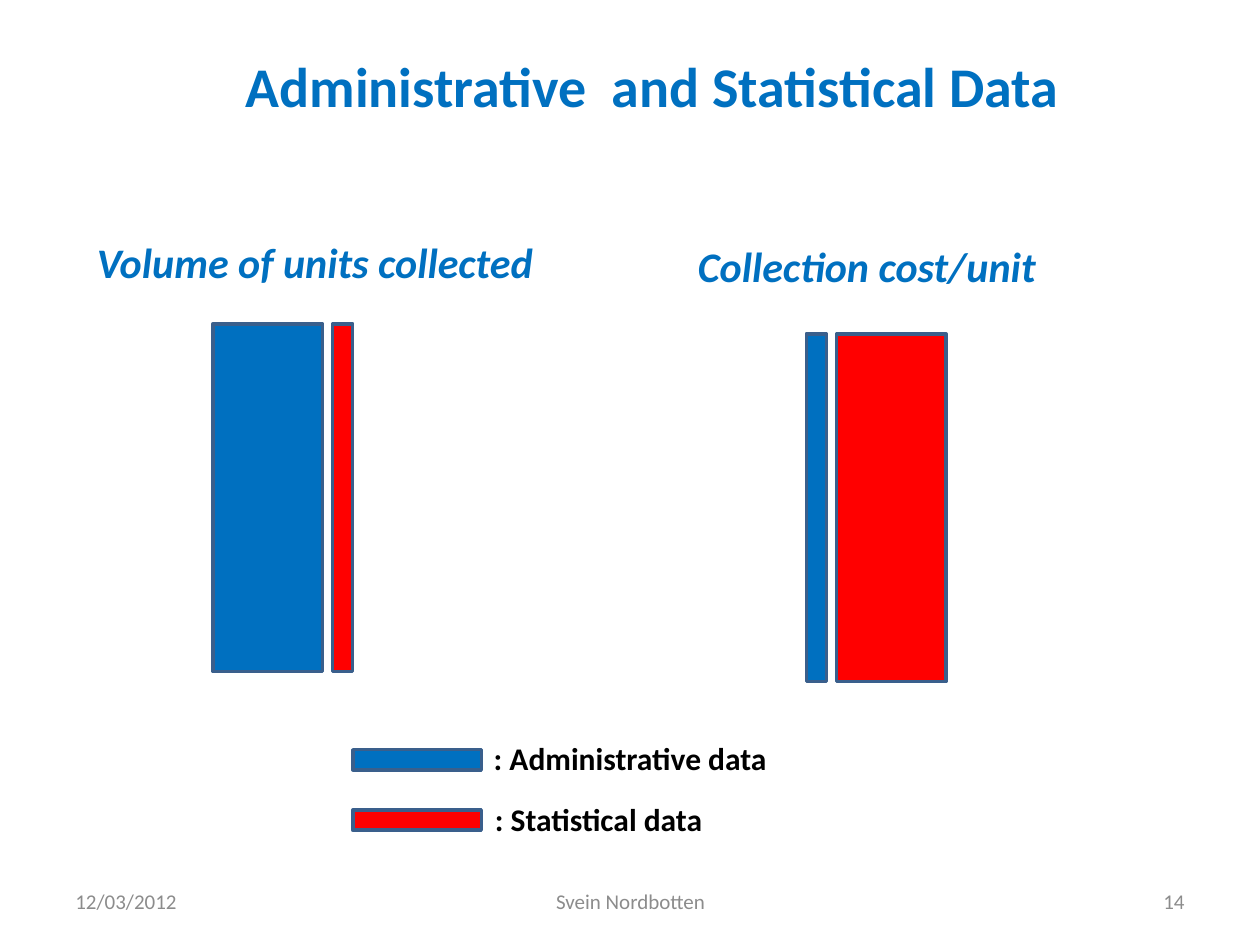
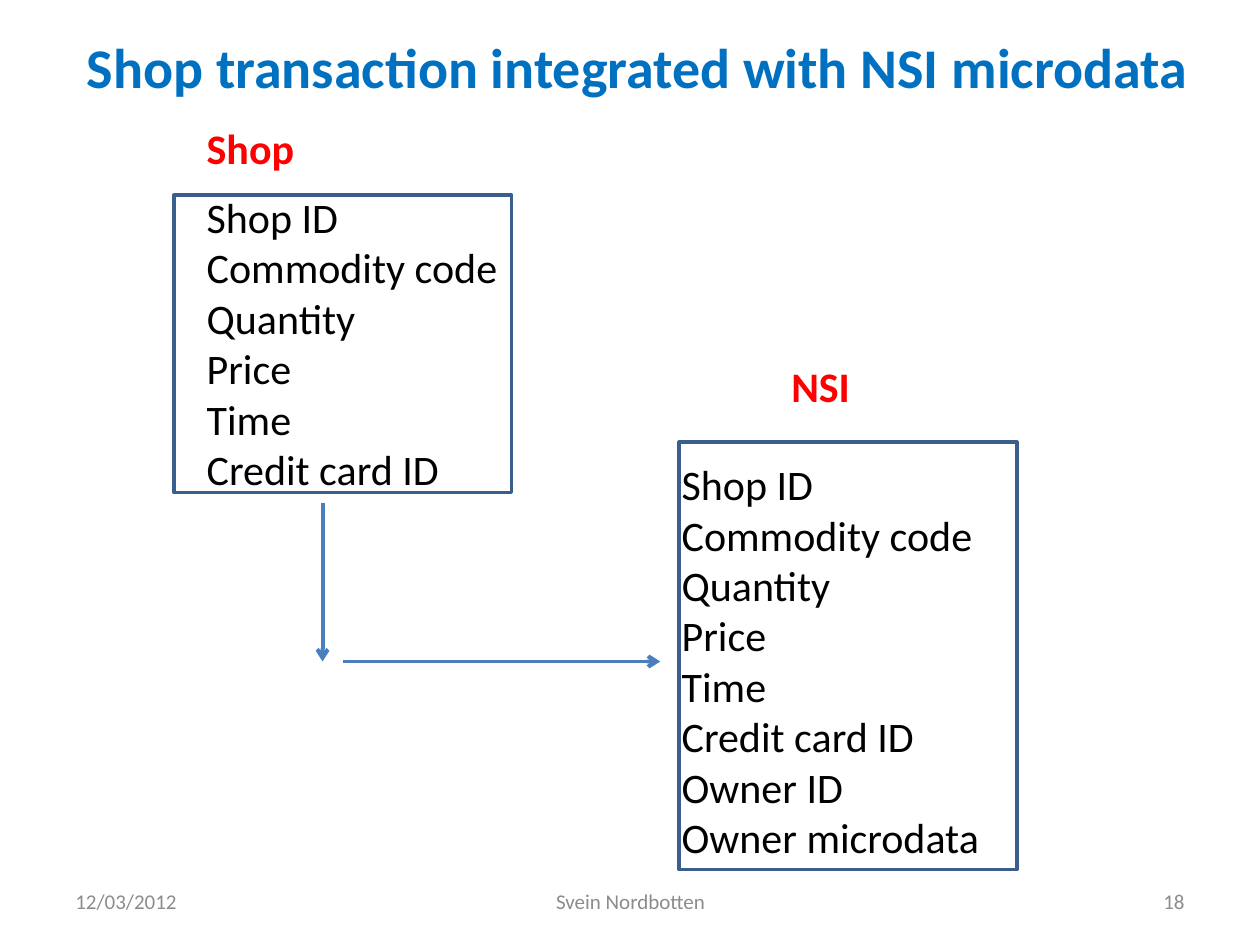
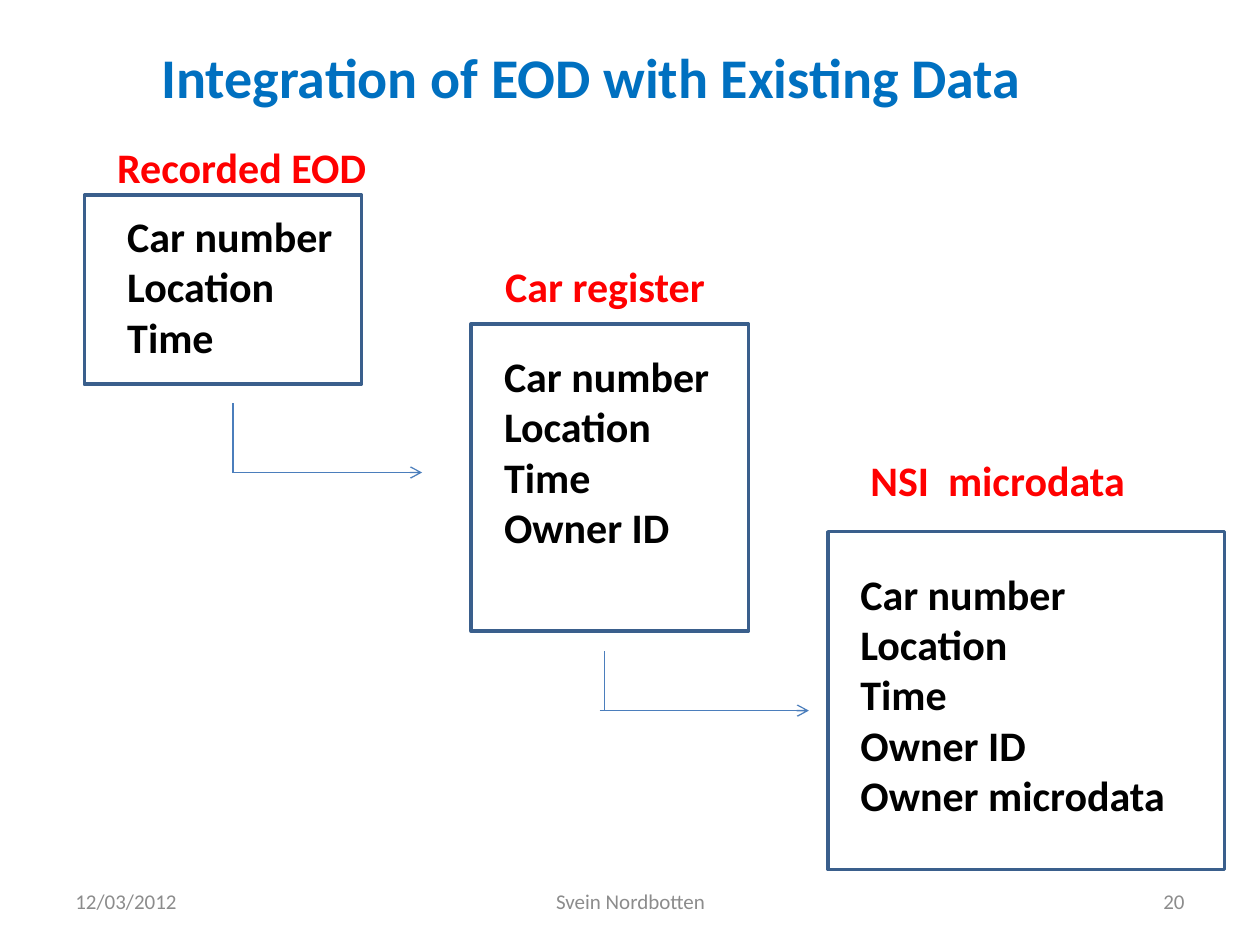
from lxml.etree import SubElement
from pptx import Presentation
from pptx.dml.color import RGBColor
from pptx.enum.shapes import MSO_CONNECTOR as Connector, MSO_SHAPE as Shape
from pptx.enum.text import MSO_ANCHOR as Anchor, MSO_AUTO_SIZE as AutoSize, PP_ALIGN as Align
from pptx.oxml.ns import qn
from pptx.util import Inches, Pt

COLORS = {
    "blue": "0070C0",
    "red": "FF0000",
    "black": "000000",
    "white": "FFFFFF",
    "grey": "8C8C8C",
    "border": "3A5F8C",
    "arrow": "4B7EBC",
}
FONT = "Calibri"
TITLE_ONLY, COMPARISON = 5, 4
BAR_WIDE, BAR_NARROW, BAR_HEIGHT, BAR_GAP = 0.87, 0.16, 2.76, 0.08
TRANSACTION = ["Shop ID", "Commodity code", "Quantity", "Price", "Time", "Credit card ID"]
SIGHTING = ["Car number", "Location", "Time"]


def color(name):
    return RGBColor.from_string(COLORS[name])


def write(page, area, lines, size, tint, bold=False, italic=False,
          align=Align.LEFT, anchor=Anchor.TOP, holder=None):
    left, top, width, height = (Inches(value) for value in area)
    box = holder or page.shapes.add_textbox(left, top, width, height)
    box.left, box.top, box.width, box.height = left, top, width, height
    page.shapes.element.append(box.element)
    frame = box.text_frame
    frame.word_wrap = True
    frame.auto_size = AutoSize.NONE
    frame.vertical_anchor = anchor
    if align == Align.LEFT:
        frame.margin_right = 0
    for index, line in enumerate(lines):
        para = frame.add_paragraph() if index else frame.paragraphs[0]
        props = para._p.get_or_add_pPr()
        props.set("marL", "0")
        props.set("indent", "0")
        SubElement(props, qn("a:buNone"))
        para.alignment = align
        para.space_before = Pt(0)
        span = para.add_run()
        span.text = line
        span.font.name = FONT
        span.font.size = Pt(size)
        span.font.bold = bold
        span.font.italic = italic
        span.font.color.rgb = color(tint)


def add_block(page, area, fill):
    block = page.shapes.add_shape(Shape.RECTANGLE, *(Inches(value) for value in area))
    block.shadow.inherit = False
    block.fill.solid()
    block.fill.fore_color.rgb = color(fill)
    block.line.color.rgb = color("border")
    block.line.width = Pt(2)


def add_line(page, start, end, width, arrow=True):
    line = page.shapes.add_connector(
        Connector.STRAIGHT, *(Inches(value) for value in (*start, *end)))
    line.line.color.rgb = color("arrow")
    line.line.width = Pt(width)
    props = line.element.spPr
    if arrow:
        SubElement(props.find(qn("a:ln")), qn("a:tailEnd"), type="arrow")
    SubElement(props, qn("a:effectLst"))


def add_page(deck, layout, title, title_area, number):
    page = deck.slides.add_slide(deck.slide_layouts[layout])
    footers = [
        (0.5, 2.33, "12/03/2012", Align.LEFT),
        (3.42, 3.17, "Svein Nordbotten", Align.CENTER),
        (7.17, 2.33, number, Align.RIGHT),
    ]
    for left, width, text, align in footers:
        write(page, (left, 6.95, width, 0.4), [text], 12, "grey",
              align=align, anchor=Anchor.MIDDLE)
    write(page, title_area, [title], 32, "blue", bold=True, holder=page.shapes.title)
    return page


def add_bar_pair(page, left, top, widths):
    for width, fill in zip(widths, ("blue", "red")):
        add_block(page, (left, top, width, BAR_HEIGHT), fill)
        left += width + BAR_GAP


def add_legend(page, left, top):
    entries = [("blue", ": Administrative data", 2.39), ("red", ": Statistical data", 1.87)]
    for row, (fill, label, width) in enumerate(entries):
        row_top = top + 0.48 * row
        add_block(page, (left, row_top, 1.02, 0.16), fill)
        write(page, (left + 1.02 + 0.01 * row, row_top - 0.13, width, 0.4),
              [label], 18, "black", bold=True)


def add_records(page, records, bold):
    slots = iter([holder for holder in page.placeholders
                  if holder.placeholder_format.idx > 0])
    for frame, heading, heading_offset, fields, list_offset in records:
        left, top, width, height = frame
        add_block(page, frame, "white")
        for lines, (dx, dy, w, h), tint, strong in (
                ([heading], heading_offset, "red", True),
                (fields, list_offset, "black", bold)):
            write(page, (left + dx, top + dy, w, h), lines, 24, tint,
                  bold=strong, holder=next(slots, None))


def build_volume_and_cost(deck):
    page = add_page(deck, TITLE_ONLY, "Administrative  and Statistical Data",
                    (1.85, 0.36, 6.72, 0.64), "14")
    add_bar_pair(page, 1.69, 2.57, (BAR_WIDE, BAR_NARROW))
    add_bar_pair(page, 6.4, 2.65, (BAR_NARROW, BAR_WIDE))
    for area, text in (((0.67, 1.83, 3.74, 0.5), "Volume of units collected"),
                       ((5.44, 1.86, 2.95, 0.5), "Collection cost/unit")):
        write(page, area, [text], 24, "blue", bold=True, italic=True)
    add_legend(page, 2.8, 5.95)


def build_shop_transaction(deck):
    page = add_page(deck, COMPARISON, "Shop transaction integrated with NSI microdata",
                    (0.59, 0.21, 9.12, 0.64), "18")
    add_records(page, [
        ((1.38, 1.55, 2.68, 2.36), "Shop", (0.16, -0.63, 0.9, 0.5),
         TRANSACTION, (0.16, -0.08, 2.53, 2.93)),
        ((5.39, 3.51, 2.68, 3.39), "NSI", (0.79, -0.7, 0.67, 0.5),
         TRANSACTION + ["Owner ID", "Owner microdata"], (-0.08, 0.08, 3.15, 3.33)),
    ], bold=False)
    add_line(page, (2.56, 3.99), (2.56, 5.25), 2.25)
    add_line(page, (2.72, 5.25), (5.24, 5.25), 2.25)


def build_car_register(deck):
    page = add_page(deck, COMPARISON, "Integration of EOD with Existing Data",
                    (1.18, 0.29, 7.52, 0.64), "20")
    add_records(page, [
        ((0.67, 1.55, 2.2, 1.5), "Recorded EOD", (0.16, -0.48, 2.2, 0.5),
         SIGHTING, (0.24, 0.07, 1.85, 1.31)),
        ((3.74, 2.57, 2.2, 2.44), "Car register", (0.17, -0.55, 1.8, 0.5),
         SIGHTING + ["Owner ID"], (0.16, 0.16, 1.89, 1.72)),
        ((6.57, 4.22, 3.15, 2.68), "NSI  microdata", (0.24, -0.66, 2.24, 0.5),
         SIGHTING + ["Owner ID", "Owner microdata"], (0.16, 0.24, 2.91, 2.12)),
    ], bold=True)
    for stem, top, bottom, start, end in ((1.85, 3.2, 3.75, 1.85, 3.35),
                                          (4.8, 5.17, 5.64, 4.76, 6.42)):
        add_line(page, (stem, top), (stem, bottom), 0.75, arrow=False)
        add_line(page, (start, bottom), (end, bottom), 0.75)


def main():
    deck = Presentation()
    deck.slide_width, deck.slide_height = Inches(10), Inches(7.5)
    build_volume_and_cost(deck)
    build_shop_transaction(deck)
    build_car_register(deck)
    deck.save("out.pptx")


if __name__ == "__main__":
    main()
